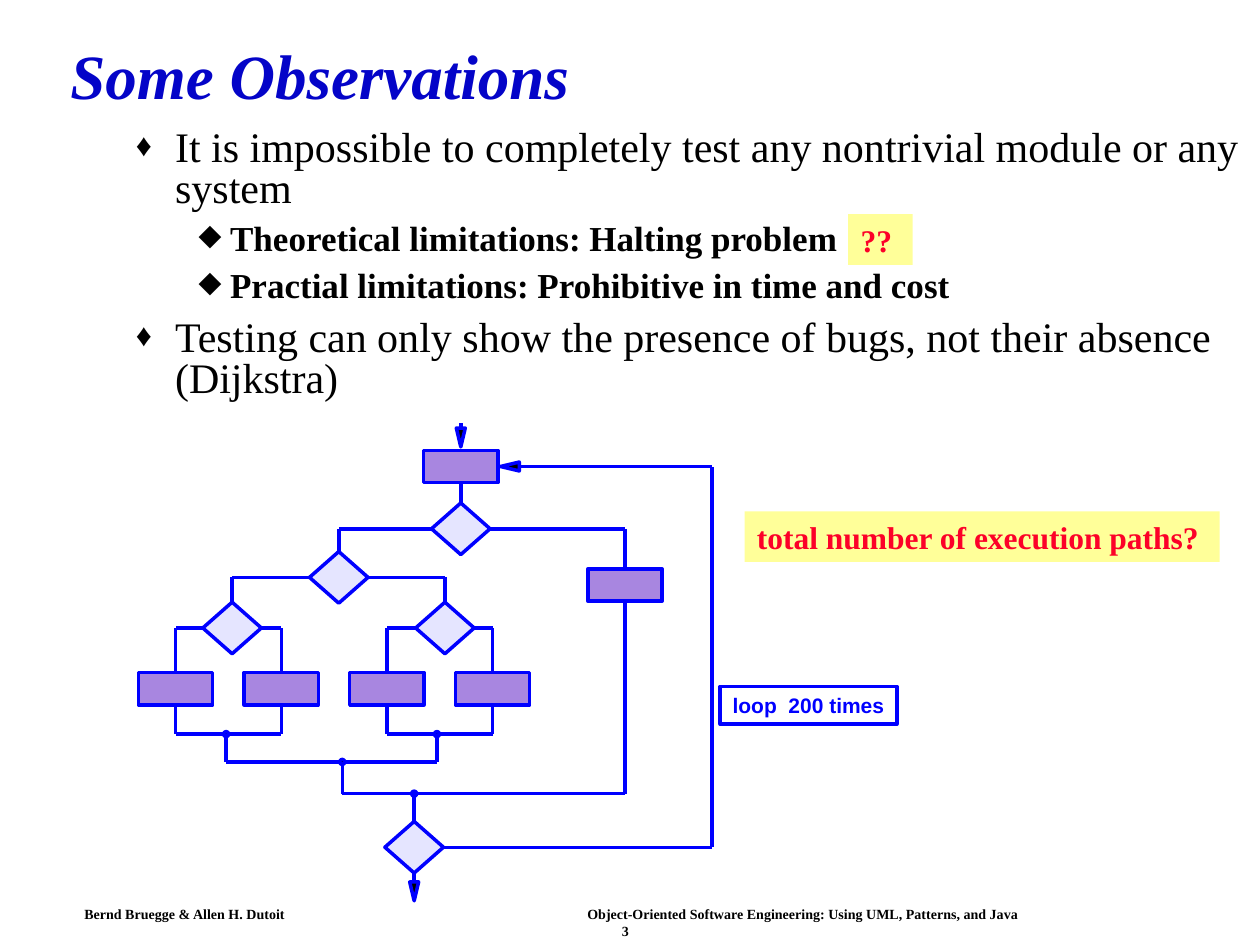
from dataclasses import dataclass

from lxml import etree
from pptx import Presentation
from pptx import util as u
from pptx.dml.color import RGBColor
from pptx.enum import shapes, text
from pptx.oxml import ns
from pptx.util import Cm


@dataclass(frozen=True)
class Theme:
    serif: str = "Times New Roman"
    sans: str = "Arial"
    black: str = "000000"
    title: str = "0404C8"
    line: str = "0000FF"
    process: str = "A886E0"
    decision: str = "E5E5FF"
    note: str = "FFFF99"
    alert: str = "FC0128"
    title_size: int = 36
    point_size: int = 24
    subpoint_size: int = 20
    note_size: int = 18
    label_size: int = 12
    footer_size: int = 8
    line_width: int = 2


T = Theme()
TOP, LEFT, BOTTOM, RIGHT = range(4)
KIND = shapes.MSO_SHAPE


def sub(parent, tag, **attrs):
    el = etree.SubElement(parent, ns.qn(tag))
    for key, value in attrs.items():
        el.set(key, str(value))
    return el


def write(tf, words, size, color=T.black, font=T.serif, bold=False, italic=False,
          align=text.PP_ALIGN.LEFT, spacing=1.0, before=0, bullet=None, tab=None):
    """Add a paragraph; bullet is (character, left cm, hanging cm, size in percent)."""
    first = not tf.text
    p = tf.paragraphs[0] if first else tf.add_paragraph()
    p.alignment, p.line_spacing = align, spacing
    p.space_before = u.Pt(0 if first else before)
    ppr = p._p.get_or_add_pPr()
    if bullet:
        char, left, hanging, percent = bullet
        ppr.set("marL", str(Cm(left)))
        ppr.set("indent", str(-Cm(hanging)))
        sub(sub(ppr, "a:buClr"), "a:srgbClr", val=T.black)
        sub(ppr, "a:buSzPct", val=percent * 1000)
        sub(ppr, "a:buFont", typeface=font)
        sub(ppr, "a:buChar", char=char)
    if tab:
        sub(sub(ppr, "a:tabLst"), "a:tab", pos=Cm(tab), algn="l")
    r = p.add_run()
    r.text = words
    f = r.font
    f.name, f.size, f.bold, f.italic = font, u.Pt(size), bold, italic
    f.color.rgb = RGBColor.from_string(color)


def textbox(s, box, anchor=text.MSO_ANCHOR.TOP):
    tf = s.shapes.add_textbox(*map(Cm, box)).text_frame
    tf.word_wrap, tf.vertical_anchor = True, anchor
    return tf


def style(sp, fill=None, line=T.line):
    sp.shadow.inherit = False
    if fill:
        sp.fill.solid()
        sp.fill.fore_color.rgb = RGBColor.from_string(fill)
    else:
        sp.fill.background()
    if line:
        sp.line.color.rgb = RGBColor.from_string(line)
        sp.line.width = u.Pt(T.line_width)
    else:
        sp.line.fill.background()
    return sp


def node(parts, kind, box, fill=None, line=T.line):
    return style(parts.add_shape(kind, *map(Cm, box)), fill, line)


def label(sp, words, **fmt):
    tf = sp.text_frame
    tf.word_wrap, tf.vertical_anchor = False, text.MSO_ANCHOR.MIDDLE
    write(tf, words, bold=True, **fmt)


def site(sp, side):
    x, y = sp.left + sp.width // 2, sp.top + sp.height // 2
    return {TOP: (x, sp.top), LEFT: (sp.left, y),
            BOTTOM: (x, sp.top + sp.height), RIGHT: (sp.left + sp.width, y)}[side]


def link(parts, a, b):
    """Draw a straight line; each end is a point or a (shape, side) pair."""
    def glued(end):
        return hasattr(end[0], "shape_id")

    ends = [site(*end) if glued(end) else end for end in (a, b)]
    c = parts.add_connector(shapes.MSO_CONNECTOR.STRAIGHT, *ends[0], *ends[1])
    if glued(a):
        c.begin_connect(*a)
    if glued(b):
        c.end_connect(*b)
    c.line.color.rgb = RGBColor.from_string(T.line)
    c.line.width = u.Pt(T.line_width)
    sub(c._element.spPr, "a:effectLst")


def arrowhead(parts, tip, dx, dy):
    """Draw an outlined head pointing along the unit step dx, dy; return its base."""
    length, half = Cm(0.38), Cm(0.09)
    x, y = tip[0] - dx * length, tip[1] - dy * length
    fb = parts.build_freeform(*tip)
    fb.add_line_segments([(x - dy * half, y - dx * half), (x + dy * half, y + dx * half)])
    style(fb.convert_to_shape(), T.black)
    return x, y


def branch(parts, decision, left, right):
    """Lead both sides of a decision out and down to its children."""
    for side, child in ((LEFT, left), (RIGHT, right)):
        corner = site(child, TOP)[0], site(decision, side)[1]
        link(parts, (decision, side), corner)
        link(parts, corner, (child, TOP))


def flowchart(s, box):
    left, top, width, height = box
    parts = s.shapes.add_group_shape().shapes

    def at(x, y):
        return Cm(left + x), Cm(top + y)

    def process(x, y):
        return node(parts, KIND.RECTANGLE, (left + x, top + y, 1.5, 0.65), T.process)

    def decision(x, y):
        return node(parts, KIND.DIAMOND, (left + x, top + y, 1.18, 1.04), T.decision)

    def junction(x, y):
        node(parts, KIND.OVAL, (left + x - 0.05, top + y - 0.05, 0.1, 0.1), T.black)
        return at(x, y)

    start, side_step = process(5.75, 0.55), process(9.06, 2.94)
    leaves = [process(2.13 * i, 5.03) for i in range(4)]
    root, inner = decision(5.91, 1.61), decision(3.45, 2.59)
    pairs = [decision(x, 3.61) for x in (1.3, 5.59)]
    repeat = decision(4.97, 8.03)

    link(parts, at(6.5, 0), arrowhead(parts, at(6.5, 0.48), 0, 1))
    link(parts, (start, BOTTOM), (root, TOP))
    branch(parts, root, inner, side_step)
    branch(parts, inner, *pairs)
    for i, pair in enumerate(pairs):
        branch(parts, pair, *leaves[2 * i:2 * i + 2])

    # The paths merge again, level by level
    leaf_y, pair_y, final_y = 6.27, 6.83, 7.47
    for i, x in enumerate((1.77, 6.02)):
        corners = []
        for leaf in leaves[2 * i:2 * i + 2]:
            corners.append((site(leaf, BOTTOM)[0], at(0, leaf_y)[1]))
            link(parts, (leaf, BOTTOM), corners[-1])
        link(parts, *corners)
        link(parts, junction(x, leaf_y), at(x, pair_y))
    link(parts, at(1.77, pair_y), at(6.02, pair_y))
    link(parts, junction(4.11, pair_y), at(4.11, final_y))
    merge = junction(5.56, final_y)
    corner = site(side_step, BOTTOM)[0], merge[1]
    link(parts, at(4.11, final_y), merge)
    link(parts, (side_step, BOTTOM), corner)
    link(parts, corner, merge)
    link(parts, merge, (repeat, TOP))

    # Loop back to the start, or leave
    edge = Cm(left + width)
    low, high = (edge, site(repeat, RIGHT)[1]), (edge, site(start, RIGHT)[1])
    link(parts, (repeat, RIGHT), low)
    link(parts, low, high)
    link(parts, high, arrowhead(parts, (at(7.3, 0)[0], high[1]), -1, 0))
    link(parts, (repeat, BOTTOM), arrowhead(parts, at(5.56, height), 0, 1))
    loop = node(parts, KIND.RECTANGLE, (left + width + 0.17, top + 5.31, 3.56, 0.76))
    label(loop, "loop  200 times", size=T.label_size, color=T.line, font=T.sans)


def title(s, box):
    write(textbox(s, box, text.MSO_ANCHOR.MIDDLE), "Some Observations", T.title_size,
          T.title, bold=True, italic=True, spacing=0.9)


def observations(s, box):
    tf = textbox(s, box)
    point = dict(size=T.point_size, before=9, bullet=("♦", 0.79, 0.79, 75))
    subpoint = dict(size=T.subpoint_size, before=7.5, bold=True, bullet=("⬥", 1.9, 0.64, 100))
    for words, fmt in (
        ("It is impossible to completely test any nontrivial module or any system", point),
        ("Theoretical limitations: Halting problem", subpoint),
        ("Practial limitations: Prohibitive in time and cost", subpoint),
        ("Testing can only show the presence of bugs, not their absence (Dijkstra)", point),
    ):
        write(tf, words, spacing=0.8, **fmt)


def note(s, box, words):
    label(node(s.shapes, KIND.RECTANGLE, box, T.note, None), words,
          size=T.note_size, color=T.alert)


def footer(s, box):
    tf = textbox(s, box)
    tf.margin_left = tf.margin_right = Cm(0.2)
    tf.margin_top = tf.margin_bottom = Cm(0.1)
    write(tf, "Bernd Bruegge & Allen H. Dutoit\tObject-Oriented Software Engineering: "
          "Using UML, Patterns, and Java", T.footer_size, bold=True, tab=10.14)
    write(tf, "3", T.footer_size, bold=True, align=text.PP_ALIGN.CENTER)


def main():
    prs = Presentation()
    prs.slide_width, prs.slide_height = Cm(25.4), Cm(19.05)
    s = prs.slides.add_slide(prs.slide_layouts[6])
    footer(s, (1.5, 18.16, 22.22, 0.85))
    title(s, (1.17, 0.61, 22.66, 1.96))
    observations(s, (2.49, 2.51, 22.91, 5.92))
    flowchart(s, (2.79, 8.53, 11.56, 9.63))
    note(s, (15.01, 10.31, 9.58, 1.02), "total number of execution paths?")
    note(s, (17.1, 4.32, 1.3, 1.02), "??")
    prs.save("out.pptx")


if __name__ == "__main__":
    main()
